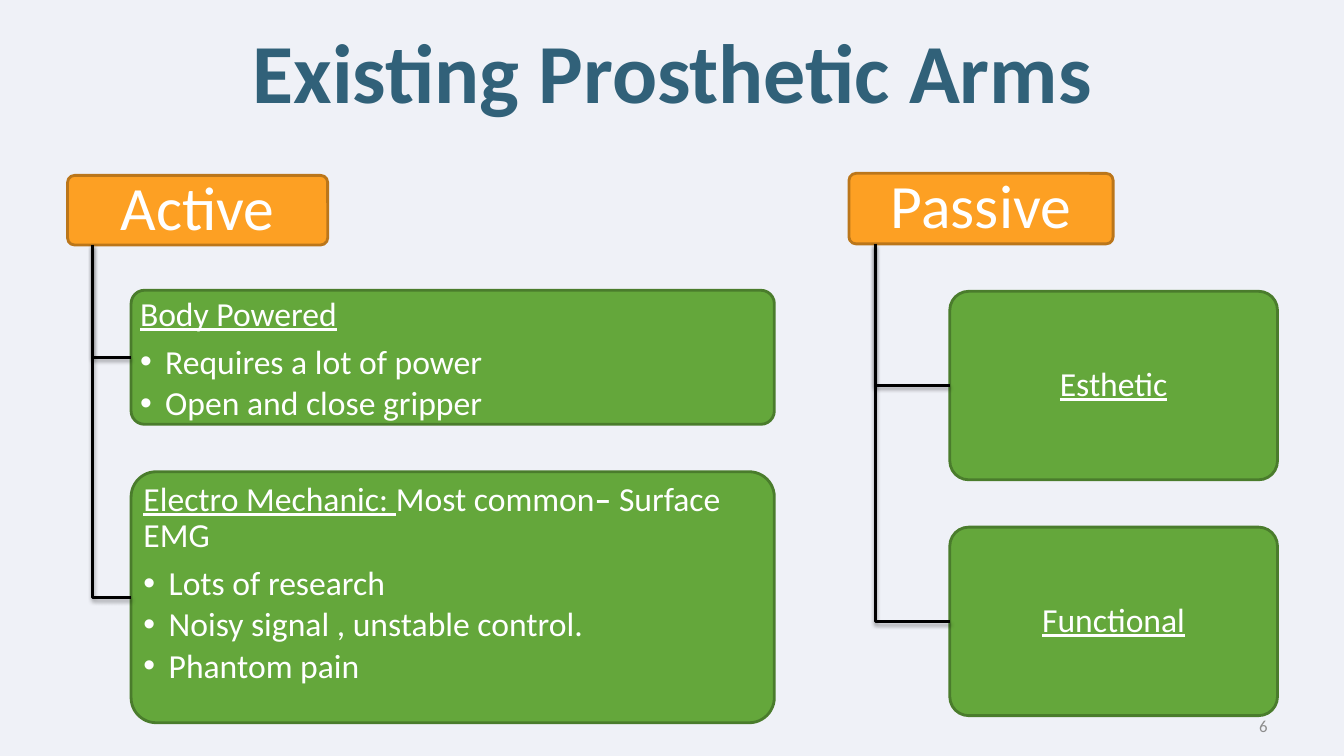
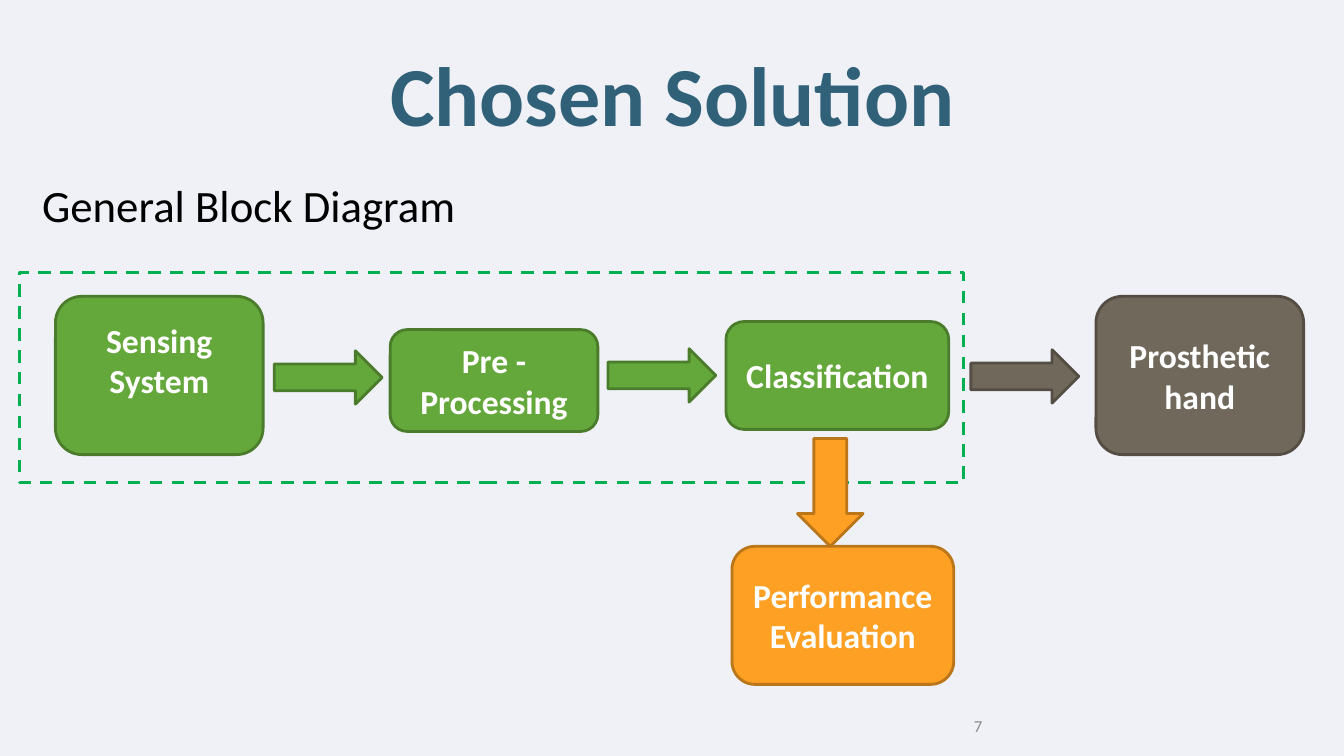
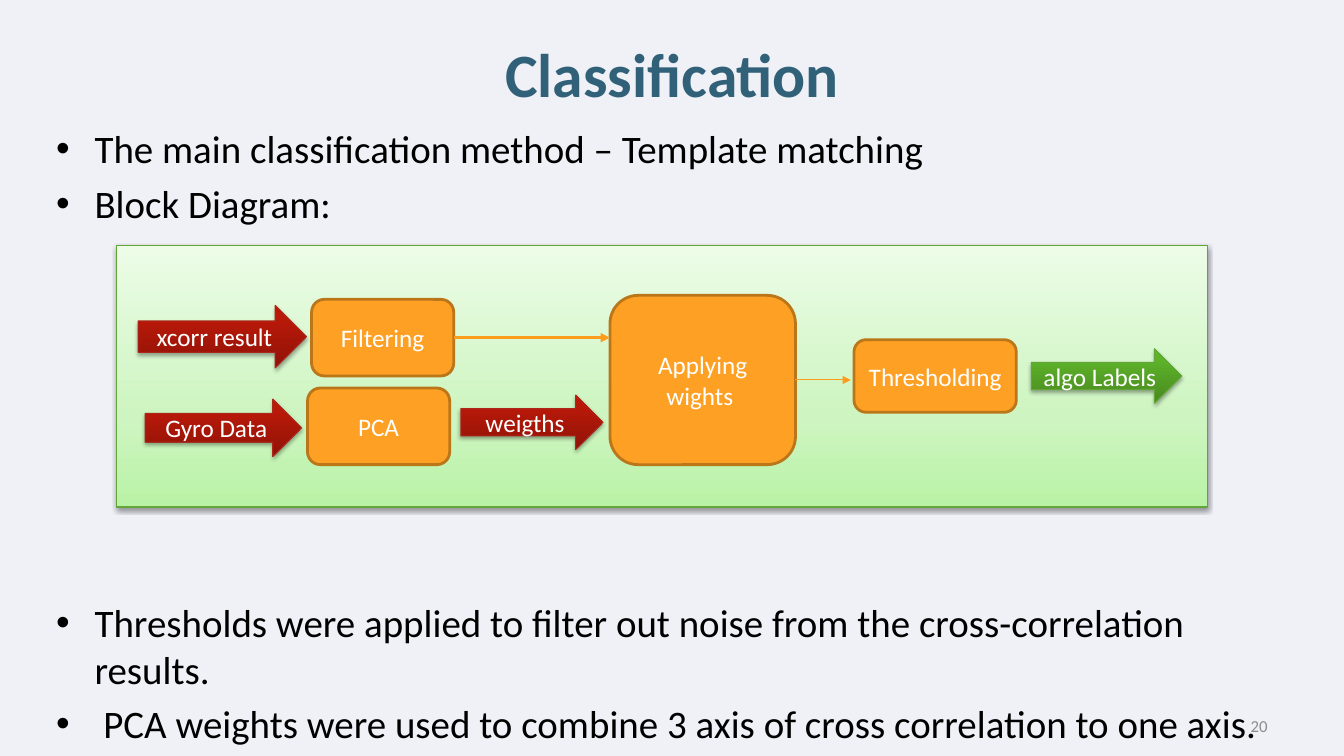
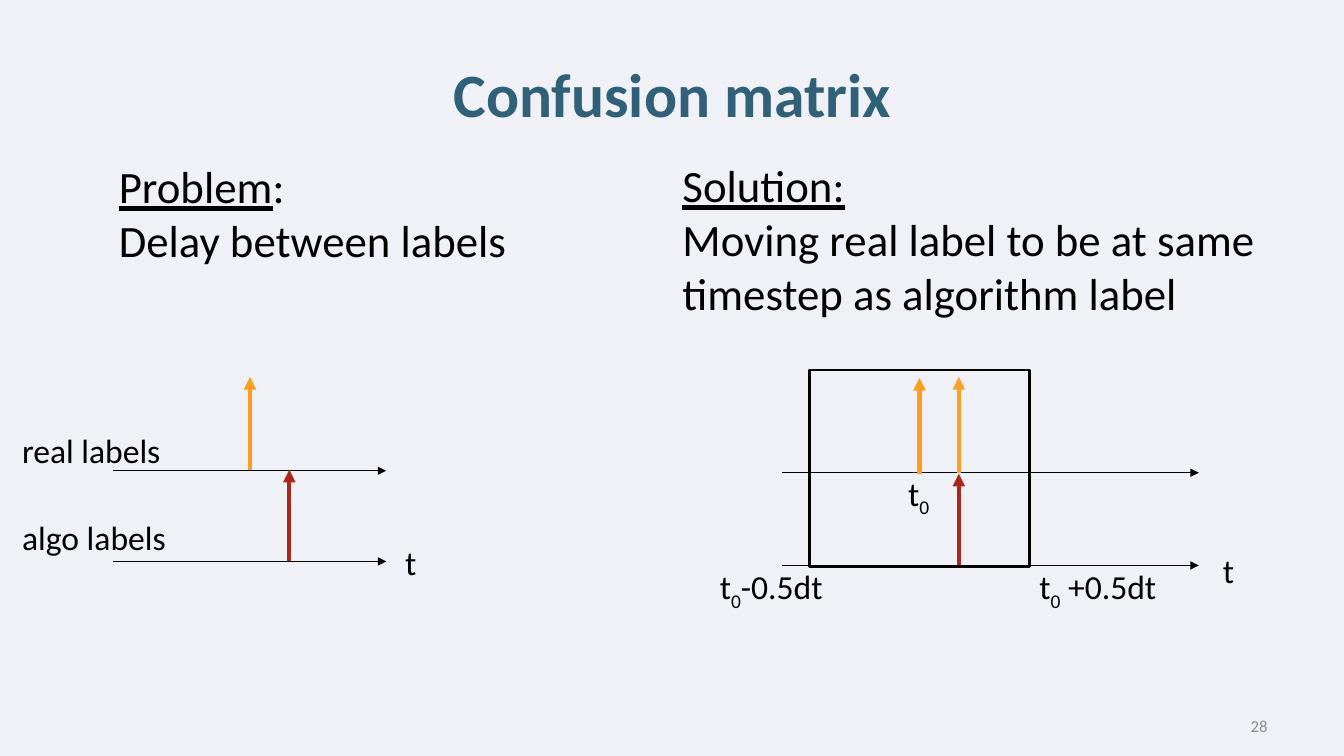
from copy import deepcopy

from pptx import Presentation
from pptx.dml.color import RGBColor
from pptx.enum.dml import MSO_LINE_DASH_STYLE as DASH
from pptx.enum.shapes import MSO_CONNECTOR, MSO_SHAPE
from pptx.enum.text import MSO_ANCHOR as ANCHOR, PP_ALIGN as ALIGN
from pptx.oxml.ns import qn
from pptx.oxml.xmlchemy import OxmlElement
from pptx.util import Inches, Pt

FONT = "Calibri"
COLORS = {
    "background": "EFF1F7", "title": "316179", "number": "8C8C8C",
    "black": "000000", "white": "FFFFFF", "frame": "00B050",
    "green": "64A73B", "green edge": "4A7C2C",
    "orange": "FDA023", "orange edge": "BB761A",
    "gray": "71685C", "gray edge": "544D44",
    "arrow": "FD9D1D", "red": "AA271A", "leaf": "61A637",
}
# Gradient stops from bottom to top: (position, colour)
GRADIENTS = {
    "panel": [(0, "B9F2A6"), (0.35, "CEF5C1"), (1, "ECFCE7")],
    "red": [(0, "8F1307"), (0.8, "B91909"), (1, "BD1605")],
    "leaf": [(0, "488920"), (0.8, "5DB229"), (1, "5DB527")],
}


def rgb(name):
    return RGBColor.from_string(COLORS[name])


def add_element(parent, tag, **attrs):
    child = OxmlElement(tag)
    for key, value in attrs.items():
        child.set(key, str(value))
    parent.append(child)
    return child


def set_bullet(p, indent):
    pPr = p._p.get_or_add_pPr()
    pPr.set("marL", str(Inches(indent)))
    pPr.set("indent", str(-Inches(indent)))
    add_element(pPr, "a:buFont", typeface="Arial")
    add_element(pPr, "a:buChar", char="•")


def write(p, content, size, color="black", bold=False, align=ALIGN.LEFT):
    """Fill p with a string, or with (text, marks) runs; marks: b, u, sub."""
    runs = [(content, "")] if isinstance(content, str) else content
    p.alignment = align
    for text, marks in runs:
        r = p.add_run()
        r.text = text
        r.font.name, r.font.size = FONT, Pt(size)
        r.font.color.rgb = rgb(color)
        r.font.bold = bold or marks == "b"
        r.font.underline = marks == "u"
        if marks == "sub":
            r._r.get_or_add_rPr().set("baseline", "-25000")


def write_all(tf, contents, size, **style):
    for i, content in enumerate(contents):
        p = tf.add_paragraph() if i else tf.paragraphs[0]
        write(p, content, size, **style)


def set_insets(tf, side, top, bottom=None):
    tf.margin_left = tf.margin_right = Inches(side)
    tf.margin_top = Inches(top)
    tf.margin_bottom = Inches(top if bottom is None else bottom)


def add_text(s, at, contents, size, anchor=ANCHOR.TOP, wrap=True, **style):
    sp = s.shapes.add_textbox(*map(Inches, at))
    tf = sp.text_frame
    tf.word_wrap, tf.vertical_anchor = wrap, anchor
    write_all(tf, contents, size, **style)
    return sp


def add_shadow(sp, alpha, distance):
    effects = sp._element.spPr.find(qn("a:effectLst"))
    shadow = add_element(effects, "a:outerShdw", blurRad=Pt(3.1), dist=Pt(distance),
                         dir=90 * 60000, rotWithShape=0)
    color = add_element(shadow, "a:srgbClr", val=COLORS["black"])
    add_element(color, "a:alpha", val=alpha * 1000)


def style_line(sp, color, width):
    sp.line.color.rgb = rgb(color)
    sp.line.width = Pt(width)


def add_shape(s, kind, at, fill=None, edge=None, width=2):
    sp = s.shapes.add_shape(kind, *map(Inches, at))
    sp.shadow.inherit = False
    if fill:
        sp.fill.solid()
        sp.fill.fore_color.rgb = rgb(fill)
    else:
        sp.fill.background()
    style_line(sp, edge or f"{fill} edge", width)
    return sp


def add_label(sp, text, size, bold=False):
    tf = sp.text_frame
    tf.word_wrap, tf.vertical_anchor = True, ANCHOR.MIDDLE
    write(tf.paragraphs[0], text, size, "white", bold, ALIGN.CENTER)
    return tf


def add_block(s, at, fill, text, size=24, bold=True):
    sp = add_shape(s, MSO_SHAPE.ROUNDED_RECTANGLE, at, fill)
    add_label(sp, text, size, bold)
    return sp


def add_glossy(s, kind, at, gradient, edge, alpha, distance):
    """A shape with a vertical three-stop gradient and a soft shadow."""
    sp = add_shape(s, kind, at, edge=edge, width=0.75)
    sp.fill.gradient()
    sp.fill.gradient_angle = 90
    stops = sp._element.spPr.find(".//" + qn("a:gsLst"))
    stops.insert(1, deepcopy(stops[0]))
    for stop, (position, color) in zip(sp.fill.gradient_stops, GRADIENTS[gradient]):
        stop.position = position
        stop.color.rgb = RGBColor.from_string(color)
    add_shadow(sp, alpha, distance)
    return sp


def add_arrow(s, start, end, color, width, source=None):
    """A straight arrow, joined to the right side of source if one is given."""
    c = s.shapes.add_connector(MSO_CONNECTOR.STRAIGHT, *map(Inches, start + end))
    if source is not None:
        c.begin_connect(source, 3)
    style_line(c, color, width)
    add_element(c.line._get_or_add_ln(), "a:tailEnd", type="triangle")
    add_element(c._element.spPr, "a:effectLst")


def add_slide(prs, title, number, title_top=0.3, title_size=44, number_align=ALIGN.RIGHT):
    s = prs.slides.add_slide(prs.slide_layouts[6])
    s.background.fill.solid()
    s.background.fill.fore_color.rgb = rgb("background")
    add_text(s, (0.67, title_top, 12, 1.25), [title], title_size, ANCHOR.MIDDLE,
             color="title", bold=True, align=ALIGN.CENTER)
    add_text(s, (9.56, 7, 3.11, 0.4), [str(number)], 12, ANCHOR.MIDDLE,
             color="number", align=number_align)
    return s


def add_tree_box(s, at, fill):
    sp = add_shape(s, MSO_SHAPE.ROUNDED_RECTANGLE, at, fill)
    sp.adjustments[0] = 0.1
    return sp


def add_branch(s, x, top, box):
    """An angled line from (x, top) down and across to the left side of box."""
    left, middle = box.left, box.top + box.height // 2
    builder = s.shapes.build_freeform(Inches(x), Inches(top))
    builder.add_line_segments([(Inches(x), middle), (left, middle)], close=False)
    sp = builder.convert_to_shape()
    sp.fill.background()
    sp.shadow.inherit = False
    style_line(sp, "black", 2)
    add_shadow(sp, 38, 1.6)


def add_tree(s, header, header_at, trunk_x, children):
    tf = add_label(add_tree_box(s, header_at, "orange"), header, 44)
    set_insets(tf, 0.09, 0.06)
    tf.paragraphs[0].line_spacing = 0.9
    for at, heading, bullets in children:
        box = add_tree_box(s, at, "green")
        add_branch(s, trunk_x, header_at[1] + header_at[3], box)
        tf = box.text_frame
        tf.word_wrap = True
        tf.vertical_anchor = ANCHOR.TOP if bullets else ANCHOR.MIDDLE
        set_insets(tf, 0.05, 0.03)
        write_all(tf, [heading] + bullets, 24, color="white",
                  align=ALIGN.LEFT if bullets else ALIGN.CENTER)
        for i, p in enumerate(tf.paragraphs):
            p.line_spacing = 0.9
            p.space_after = Pt(3.6 if i else 8.4)
            if i:
                set_bullet(p, 0.25)


def build_arms(prs):
    s = add_slide(prs, "Existing Prosthetic Arms", 6, title_top=0.07, title_size=60)
    add_tree(s, "Active", (0.67, 1.74, 2.58, 0.69), 0.92, [
        ((1.3, 2.88, 6.38, 1.33), [("Body Powered", "u")],
         ["Requires a lot of power", "Open and close gripper"]),
        ((1.3, 4.68, 6.38, 2.49),
         [("Electro Mechanic: ", "u"), ("Most common", ""), ("– ", "b"), ("Surface EMG", "")],
         ["Lots of research", "Noisy signal , unstable control.", "Phantom pain"]),
    ])
    add_tree(s, "Passive", (8.42, 1.72, 2.62, 0.7), 8.68, [
        ((9.42, 2.89 + 2.34 * i, 3.25, 1.87), [(name, "u")], [])
        for i, name in enumerate(["Esthetic", "Functional"])
    ])


def build_solution(prs):
    s = add_slide(prs, "Chosen Solution", 7, title_size=60, number_align=ALIGN.LEFT)
    add_text(s, (0.32, 1.71, 12.67, 0.7), ["General Block Diagram"], 32)
    frame = add_shape(s, MSO_SHAPE.RECTANGLE, (0.19, 2.7, 9.37, 2.09),
                      edge="frame", width=2.25)
    frame.line.dash_style = DASH.DASH
    sensing = add_block(s, (0.55, 2.94, 2.06, 1.57), "green", "Sensing System")
    set_insets(sensing.text_frame, 0.1, 0.05, 0.35)
    for at, fill, text in [
        ((3.87, 3.27, 2.06, 1.01), "green", "Pre - Processing"),
        ((7.2, 3.19, 2.21, 1.07), "green", "Classification"),
        ((10.87, 2.94, 2.06, 1.57), "gray", "Prosthetic hand"),
        ((7.26, 5.42, 2.2, 1.37), "orange", "Performance Evaluation"),
    ]:
        add_block(s, at, fill, text)
    for x, y, fill in [(2.72, 3.48, "green"), (6.03, 3.46, "green"), (9.63, 3.47, "gray")]:
        add_shape(s, MSO_SHAPE.RIGHT_ARROW, (x, y, 1.07, 0.53), fill)
    add_shape(s, MSO_SHAPE.DOWN_ARROW, (7.91, 4.35, 0.65, 1.07), "orange")


def build_classification(prs):
    s = add_slide(prs, "Classification", 20, title_top=0.1)
    body = add_text(s, (0.46, 1.19, 12.2, 6.21), [
        "The main classification method – Template matching",
        "Block Diagram:",
        "Thresholds were applied to filter out noise from the cross-correlation results.",
        " PCA weights were used to combine 3 axis of cross correlation to one axis.",
    ], 27.8)
    for p, gap in zip(body.text_frame.paragraphs, (0, 5.5, 266, 5.5)):
        p.space_before = Pt(gap)
        set_bullet(p, 0.38)

    add_glossy(s, MSO_SHAPE.RECTANGLE, (1.16, 2.44, 10.82, 2.59), "panel", "leaf", 38, 1.6)
    blocks = {
        text: add_block(s, at, "orange", text, 18, False)
        for text, at in [
            ("Filtering", (3.09, 2.97, 1.41, 0.76)),
            ("PCA", (3.05, 3.85, 1.41, 0.76)),
            ("Applying wights ", (6.05, 2.93, 1.84, 1.68)),
            ("Thresholding", (8.47, 3.37, 1.61, 0.72)),
        ]
    }
    for text, at, color in [
        ("xcorr result", (1.37, 3.03, 1.67, 0.62), "red"),
        ("Gyro Data", (1.44, 3.96, 1.55, 0.57), "red"),
        ("weigths", (4.57, 3.92, 1.41, 0.54), "red"),
        ("algo Labels", (10.23, 3.46, 1.49, 0.54), "leaf"),
    ]:
        add_label(add_glossy(s, MSO_SHAPE.RIGHT_ARROW, at, color, color, 35, 1.8), text, 18)
    add_arrow(s, (4.5, 3.35), (6.05, 3.35), "arrow", 2.25, blocks["Filtering"])
    add_arrow(s, (7.89, 3.77), (8.44, 3.77), "arrow", 0.75, blocks["Applying wights "])


def add_timelines(s, left, right, ys, t_at):
    """Two time axes, one above the other, with a t beside the lower one."""
    for y in ys:
        add_arrow(s, (left, y), (right, y), "black", 0.75)
    add_text(s, t_at + (0.39, 0.5), ["t"], 24)


def build_confusion(prs):
    s = add_slide(prs, "Confusion matrix", 28)
    add_text(s, (1.08, 1.53, 4.08, 1.18),
             [[("Problem", "u"), (":", "")], "Delay between labels"], 32, wrap=False)
    add_text(s, (6.67, 1.52, 6.35, 1.72),
             [[("Solution:", "u")], "Moving real label to be at same",
              "timestep as algorithm label"], 32)
    add_timelines(s, 1.12, 3.83, (4.67, 5.57), (3.92, 5.33))
    add_timelines(s, 7.76, 11.89, (4.69, 5.61), (12.03, 5.41))
    for x, bottom, top, color in [
        (2.48, 4.66, 3.74, "arrow"), (2.87, 5.57, 4.66, "red"),
        (9.12, 4.7, 3.75, "arrow"), (9.51, 4.69, 3.74, "orange"), (9.51, 5.61, 4.7, "red"),
    ]:
        add_arrow(s, (x, bottom), (x, top), color, 3)
    add_shape(s, MSO_SHAPE.RECTANGLE, (8.03, 3.67, 2.18, 1.95), edge="black")
    for at, rest in [((8.91, 4.64, 0.43, 0.5), ""), ((7.04, 5.57, 1.25, 0.5), "-0.5dt"),
                     ((10.21, 5.57, 1.39, 0.5), " +0.5dt")]:
        runs = [("t", ""), ("0", "sub")] + ([(rest, "")] if rest else [])
        add_text(s, at, [runs], 24, wrap=False)
    for y, text in [(4.22, "real labels"), (5.08, "algo labels")]:
        add_text(s, (0.12, y, 2.25, 0.5), [text], 24)


def main():
    prs = Presentation()
    prs.slide_width, prs.slide_height = Inches(13.33), Inches(7.5)
    build_arms(prs)
    build_solution(prs)
    build_classification(prs)
    build_confusion(prs)
    prs.save("out.pptx")


if __name__ == "__main__":
    main()
